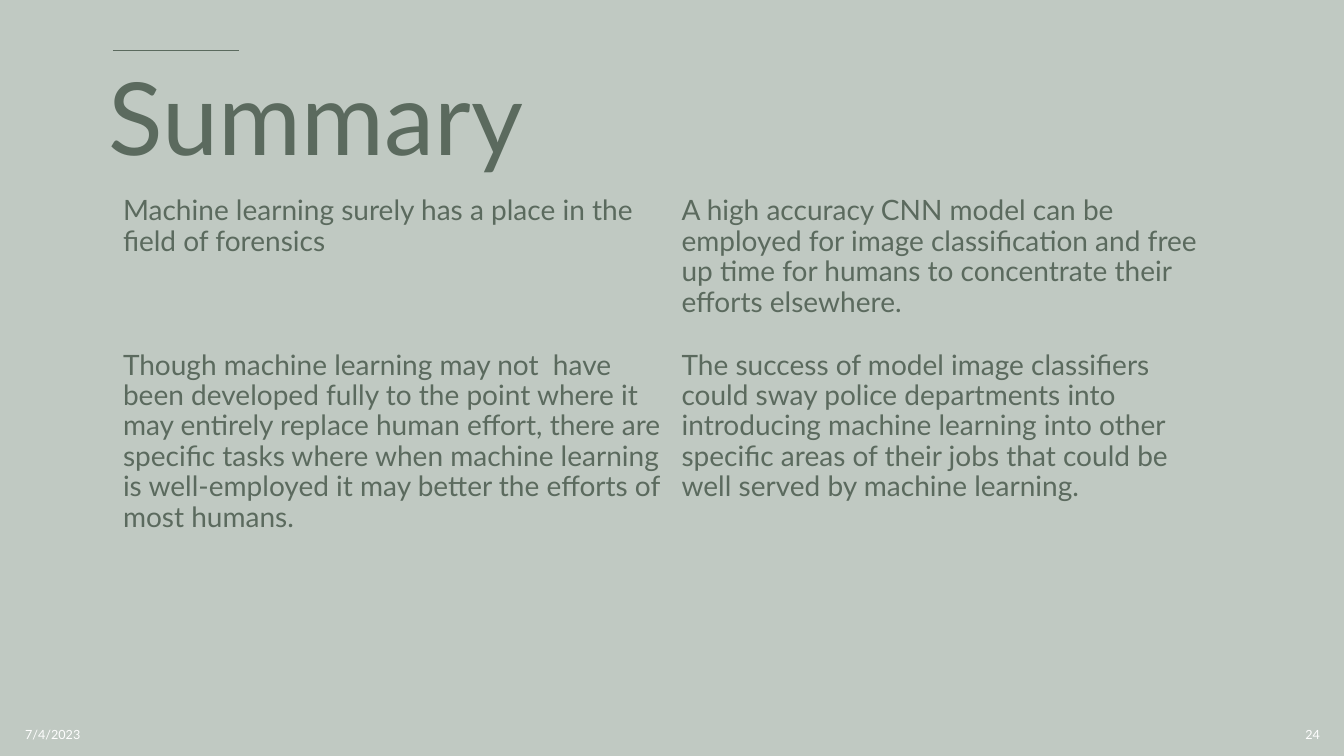
from pptx import Presentation
from pptx.dml.color import RGBColor
from pptx.enum.shapes import MSO_CONNECTOR
from pptx.enum.text import MSO_ANCHOR, PP_ALIGN
from pptx.oxml.ns import qn
from pptx.util import Inches, Pt
from lxml import etree

LEFT, RIGHT = PP_ALIGN.LEFT, PP_ALIGN.RIGHT
MIDDLE = MSO_ANCHOR.MIDDLE
STRAIGHT = MSO_CONNECTOR.STRAIGHT

# Content
FONT = "Lato"
COLORS = {"background": "C0C9C2", "text": "5B6A5E", "footer": "FFFFFF"}
TITLE = "Summary"
POINTS = [
    ("Machine learning surely has a place in the field of forensics",
     "A high accuracy CNN model can be employed for image classification and "
     "free up time for humans to concentrate their efforts elsewhere."),
    ("Though machine learning may not  have been developed fully to the point "
     "where it may entirely replace human effort, there are specific tasks "
     "where when machine learning is well-employed it may better the efforts "
     "of most humans.",
     "The success of model image classifiers could sway police departments "
     "into introducing machine learning into other specific areas of their "
     "jobs that could be well served by machine learning."),
    ("", ""),
]
ROW_HEIGHTS = [1.53, 2.36, 0.37]
COLUMN_WIDTH = 5.54
FOOTERS = [("7/4/2023", 0.15, LEFT), ("24", 10.19, RIGHT)]
PLAIN_TABLE_STYLE = "{2D5ABB26-0587-4C30-8999-92F81FD0307C}"


def rgb(name):
    return RGBColor.from_string(COLORS[name])


def write(tf, text, size=20, color="text", align=LEFT, spacing=1.0, before=0):
    tf.word_wrap = True
    p = tf.paragraphs[0]
    p.alignment = align
    p.line_spacing = spacing
    p.space_before = Pt(before)
    r = p.add_run()
    r.text = text
    r.font.name = FONT
    r.font.size = Pt(size)
    r.font.color.rgb = rgb(color)


def add_text(s, box, text, **fmt):
    tf = s.shapes.add_textbox(*(Inches(v) for v in box)).text_frame
    tf.vertical_anchor = MIDDLE
    write(tf, text, **fmt)


prs = Presentation()
prs.slide_width, prs.slide_height = Inches(13.33), Inches(7.5)
s = prs.slides.add_slide(prs.slide_layouts[6])
s.background.fill.solid()
s.background.fill.fore_color.rgb = rgb("background")

# Accent line and title
accent = s.shapes.add_connector(
    STRAIGHT, Inches(1.12), Inches(0.5), Inches(2.37), Inches(0.5))
accent.line.color.rgb = rgb("text")
accent.line.width = Pt(1.25)
etree.SubElement(accent.element.spPr, qn("a:effectLst"))
add_text(s, (0.98, 0.63, 11.11, 1.18), TITLE, size=72, spacing=0.9)

# Table of points
frame = s.shapes.add_table(
    len(POINTS), len(POINTS[0]), Inches(1.12), Inches(1.9),
    Inches(COLUMN_WIDTH * len(POINTS[0])), Inches(sum(ROW_HEIGHTS)))
table = frame.table
table.first_row = table.horz_banding = False
table._tbl.tblPr.find(qn("a:tableStyleId")).text = PLAIN_TABLE_STYLE
for column in table.columns:
    column.width = Inches(COLUMN_WIDTH)
for row, height, texts in zip(table.rows, ROW_HEIGHTS, POINTS):
    row.height = Inches(height)
    for cell, text in zip(row.cells, texts):
        cell.fill.background()
        if text:
            write(cell.text_frame, text, spacing=0.9, before=10)

# Date and slide number
for text, left, align in FOOTERS:
    add_text(s, (left, 7.09, 3, 0.4), text, size=9, color="footer", align=align)

prs.save("out.pptx")
